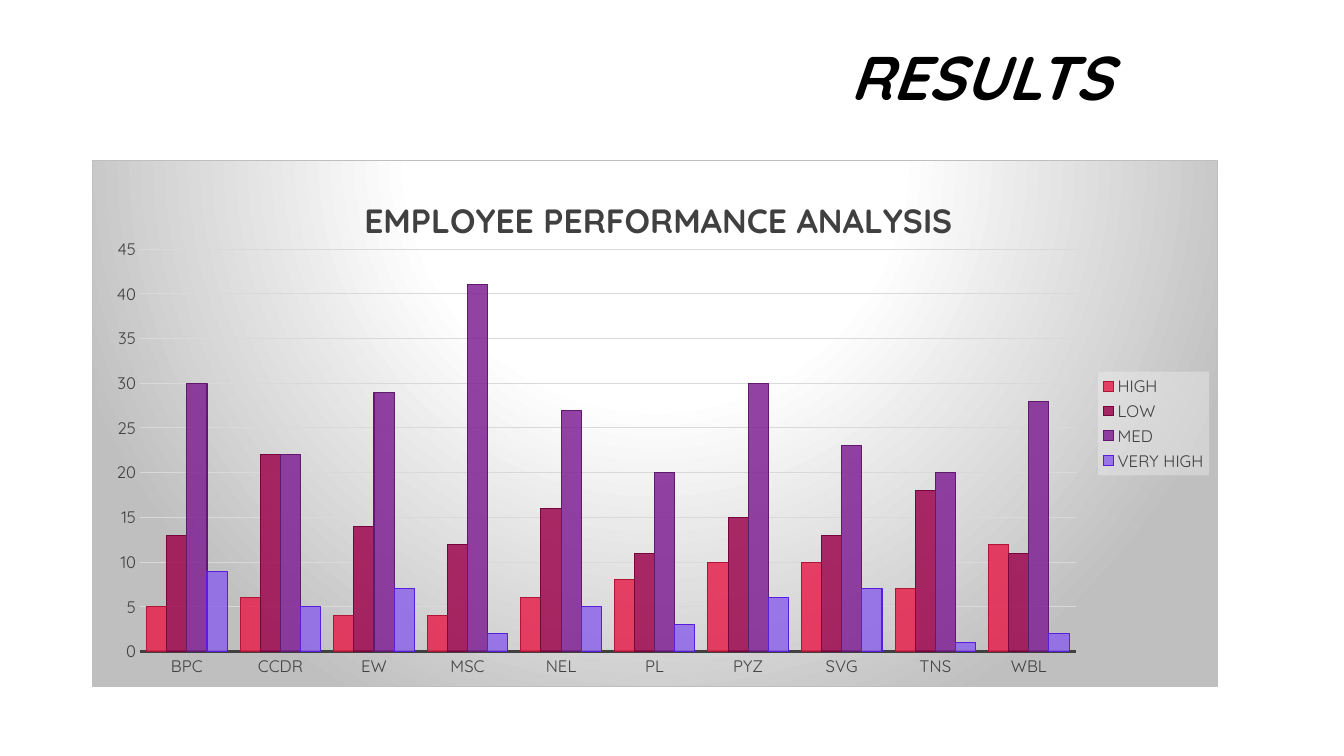
from lxml.etree import SubElement
from pptx import Presentation
from pptx.chart.data import CategoryChartData
from pptx.dml.color import RGBColor
from pptx.enum.chart import XL_CHART_TYPE as ChartType
from pptx.enum.chart import XL_LEGEND_POSITION as LegendPos
from pptx.enum.chart import XL_TICK_MARK as TickMark
from pptx.oxml import parse_xml
from pptx.oxml.ns import nsdecls, qn
from pptx.util import Pt

TEAMS = ["BPC", "CCDR", "EW", "MSC", "NEL", "PL", "PYZ", "SVG", "TNS", "WBL"]
# rating: (values, fill, outline)
RATINGS = {
    "HIGH": ([5, 6, 4, 4, 6, 8, 10, 10, 7, 12], "E5224E", "B01538"),
    "LOW": ([13, 22, 14, 12, 16, 11, 15, 13, 18, 11], "9D074E", "76053B"),
    "MED": ([30, 22, 29, 41, 27, 20, 30, 23, 20, 28], "7F2294", "5F196F"),
    "VERY HIGH": ([9, 5, 7, 2, 5, 3, 6, 7, 1, 2], "8D65EA", "581EDD"),
}
CHART_BACKGROUND = f"""<c:spPr {nsdecls("c", "a")}>
  <a:gradFill>
    <a:gsLst>
      <a:gs pos="0"><a:srgbClr val="FFFFFF"/></a:gs>
      <a:gs pos="39000"><a:srgbClr val="FFFFFF"/></a:gs>
      <a:gs pos="100000"><a:srgbClr val="BFBFBF"/></a:gs>
    </a:gsLst>
    <a:path path="circle">
      <a:fillToRect l="50000" t="-80000" r="50000" b="180000"/>
    </a:path>
  </a:gradFill>
  <a:ln w="9525"><a:solidFill><a:srgbClr val="BFBFBF"/></a:solidFill></a:ln>
</c:spPr>"""
LEGEND_BACKGROUND = f"""<c:spPr {nsdecls("c", "a")}>
  <a:solidFill><a:srgbClr val="F2F2F2"><a:alpha val="39000"/></a:srgbClr></a:solidFill>
  <a:ln><a:noFill/></a:ln>
</c:spPr>"""


def rgb(value):
    return RGBColor.from_string(value)


def set_line(line, color, width):
    line.color.rgb = rgb(color)
    line.width = Pt(width)


def set_layout(parent, index, **fractions):
    """Place a chart part by fractions of the chart's size."""
    old = parent.find(qn("c:layout"))
    if old is not None:
        parent.remove(old)
    layout = parse_xml(f'<c:layout {nsdecls("c")}><c:manualLayout/></c:layout>')
    manual = layout[0]
    if "w" in fractions:
        SubElement(manual, qn("c:layoutTarget"), val="inner")
    for side in "xy":
        SubElement(manual, qn(f"c:{side}Mode"), val="edge")
    for side, fraction in fractions.items():
        SubElement(manual, qn(f"c:{side}"), val=str(fraction))
    parent.insert(index, layout)


class Deck:
    font = "Quicksand"
    ink = "000000"
    gray = "404040"
    grid = "D9D9D9"
    label_size = 11.9

    def __init__(self, width, height):
        self.prs = Presentation()
        self.prs.slide_width, self.prs.slide_height = Pt(width), Pt(height)
        self.slide = self.prs.slides.add_slide(self.prs.slide_layouts[6])

    def style(self, font, size, color, bold=False, italic=False):
        font.name, font.size = self.font, Pt(size)
        font.bold, font.italic = bold, italic
        font.color.rgb = rgb(color)

    def text(self, text, x, y, w, h, **fmt):
        tf = self.slide.shapes.add_textbox(Pt(x), Pt(y), Pt(w), Pt(h)).text_frame
        tf.word_wrap = True
        r = tf.paragraphs[0].add_run()
        r.text = text
        self.style(r.font, **fmt)

    def column_chart(self, title, categories, ratings, x, y, w, h):
        data = CategoryChartData()
        data.categories = categories
        for name, (values, _, _) in ratings.items():
            data.add_series(name, values)
        chart = self.slide.shapes.add_chart(
            ChartType.COLUMN_CLUSTERED, Pt(x), Pt(y), Pt(w), Pt(h), data).chart
        self.style(chart.font, 10, self.ink)
        chart._chartSpace.find(qn("c:chart")).addnext(parse_xml(CHART_BACKGROUND))
        self.columns(chart.plots[0], ratings)
        self.axes(chart)
        self.chart_title(chart, title)
        self.legend(chart)
        plot_area = chart._chartSpace.find(".//" + qn("c:plotArea"))
        set_layout(plot_area, 0, x=0.042, y=0.169, w=0.832, h=0.764)

    def columns(self, plot, ratings):
        plot.gap_width, plot.overlap = 65, 0
        plot.vary_by_categories = False
        for series, (_, fill, outline) in zip(plot.series, ratings.values()):
            series.format.fill.solid()
            series.format.fill.fore_color.rgb = rgb(fill)
            set_line(series.format.line, outline, 0.75)
            color = series._element.xpath("c:spPr/a:solidFill/a:srgbClr")[0]
            SubElement(color, qn("a:alpha"), val="85000")

    def axes(self, chart):
        for axis in (chart.category_axis, chart.value_axis):
            axis.major_tick_mark = axis.minor_tick_mark = TickMark.NONE
            self.style(axis.tick_labels.font, self.label_size, self.gray)
        set_line(chart.category_axis.format.line, self.gray, 1.5)
        value_axis = chart.value_axis
        value_axis.minimum_scale, value_axis.maximum_scale = 0, 45
        value_axis.major_unit = 5
        value_axis.format.line.fill.background()
        set_line(value_axis.major_gridlines.format.line, self.grid, 0.75)

    def chart_title(self, chart, text):
        chart.has_title = True
        title = chart.chart_title
        r = title.text_frame.paragraphs[0].add_run()
        r.text = text
        self.style(r.font, 24, self.gray, bold=True)
        title.include_in_layout = False
        set_layout(title._element, 1, x=0.236, y=0.057)

    def legend(self, chart):
        chart.has_legend = True
        legend = chart.legend
        legend.position = LegendPos.RIGHT
        legend.include_in_layout = False
        self.style(legend.font, self.label_size, self.gray)
        overlay = legend._element.find(qn("c:overlay"))
        overlay.addnext(parse_xml(LEGEND_BACKGROUND))


def main():
    deck = Deck(960, 540)
    deck.column_chart("EMPLOYEE PERFORMANCE ANALYSIS", TEAMS, RATINGS, 66, 114, 804, 377)
    deck.text("RESULTS", 600, 24, 354, 60.5, size=44, color=deck.ink, bold=True, italic=True)
    deck.prs.save("out.pptx")


if __name__ == "__main__":
    main()
